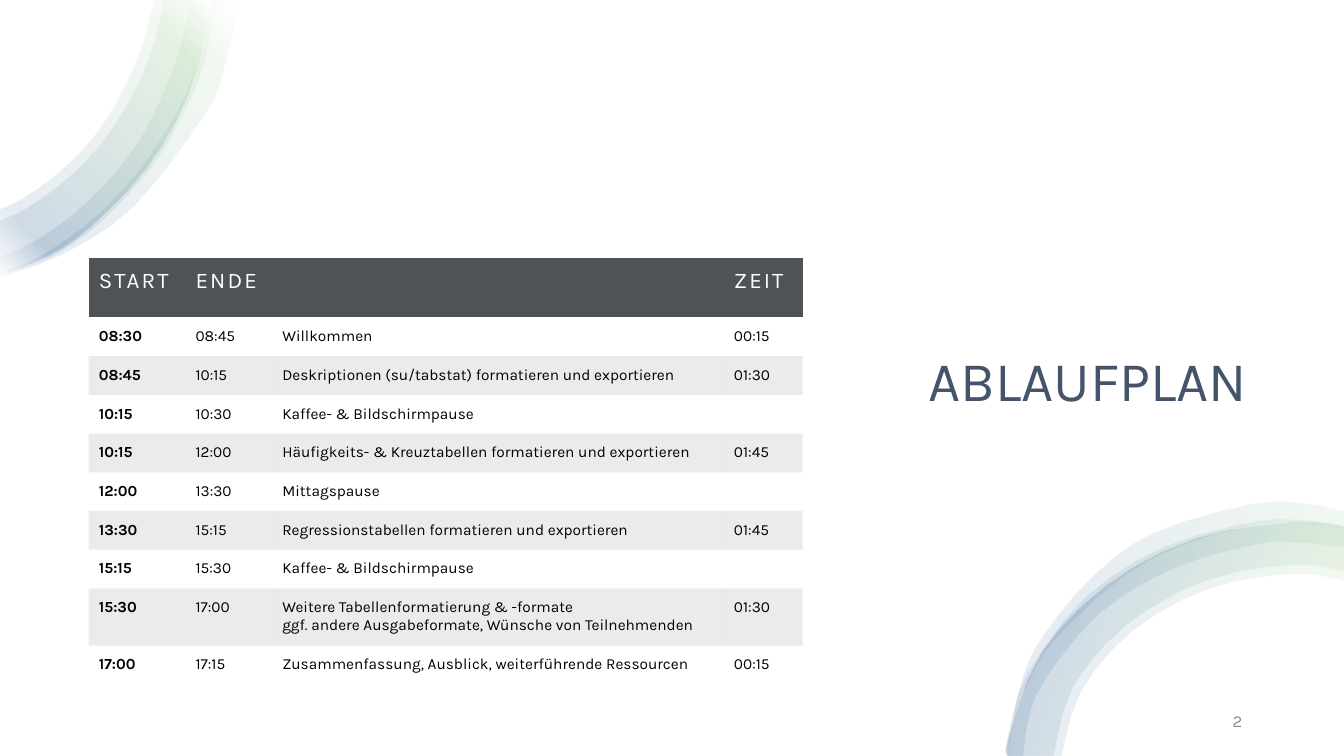
from dataclasses import dataclass

from pptx import Presentation
from pptx.dml.color import RGBColor
from pptx.enum.text import MSO_ANCHOR, PP_ALIGN
from pptx.oxml import parse_xml
from pptx.oxml.ns import nsdecls, qn
from pptx.util import Inches, Pt

LEFT, RIGHT, JUSTIFY = PP_ALIGN.LEFT, PP_ALIGN.RIGHT, PP_ALIGN.JUSTIFY
BOTTOM, MIDDLE = MSO_ANCHOR.BOTTOM, MSO_ANCHOR.MIDDLE
PLAIN_TABLE = "{2D5ABB26-0587-4C30-8999-92F81FD0307C}"


@dataclass(frozen=True)
class Theme:
    font: str = "Karla"
    title: str = "44546A"
    header: str = "505356"
    text: str = "000000"
    paper: str = "FFFFFF"
    number: str = "8C8C8C"
    band_alpha: int = 8
    arc_alpha: int = 10
    arc_stops: tuple = ((2, "FFFFFF"), (16, "82C074"), (85, "003F7D"), (100, "FFFFFF"))
    title_size: int = 40
    header_size: int = 16
    number_size: int = 12
    body_size: int = 11


def smooth(points, steps=3):
    """Points, in EMU, of a Catmull-Rom curve through points in inches."""
    ends = [points[0], *points, points[-1]]
    curve = [points[0]]
    for a, b, c, d in zip(ends, ends[1:], ends[2:], ends[3:]):
        for i in range(1, steps + 1):
            t = i / steps
            curve.append(tuple(
                (2 * q + (r - p) * t + (2 * p - 5 * q + 4 * r - s) * t ** 2
                 + (3 * q - p - 3 * r + s) * t ** 3) / 2
                for p, q, r, s in zip(a, b, c, d)))
    return [(Inches(x), Inches(y)) for x, y in curve]


class SlideBuilder:
    def __init__(self, prs, theme):
        self.theme = theme
        self.slide = prs.slides.add_slide(prs.slide_layouts[5])
        fill = self.slide.background.fill
        fill.solid()
        fill.fore_color.rgb = RGBColor.from_string(theme.paper)

    def style(self, p, size, color, align=LEFT, bold=False):
        p.alignment = align
        f = p.font
        f.name, f.size, f.bold = self.theme.font, Pt(size), bold
        f.color.rgb = RGBColor.from_string(color)

    def title(self, text, *box):
        sp = self.slide.shapes.title
        sp.left, sp.top, sp.width, sp.height = map(Inches, box)
        tf = sp.text_frame
        tf.text, tf.vertical_anchor = text, BOTTOM
        p = tf.paragraphs[0]
        p.line_spacing = 0.9
        self.style(p, self.theme.title_size, self.theme.title)

    def page_number(self, text, *box):
        tf = self.slide.shapes.add_textbox(*map(Inches, box)).text_frame
        tf.word_wrap, tf.vertical_anchor = True, MIDDLE
        p = tf.paragraphs[0]
        p.text, p.space_after = text, Pt(6)
        self.style(p, self.theme.number_size, self.theme.number, RIGHT)

    def arc(self, outer, inner, angle):
        start, *rest = smooth(outer) + smooth(inner)[::-1]
        fb = self.slide.shapes.build_freeform(*start)
        fb.add_line_segments(rest, close=True)
        sp = fb.convert_to_shape()
        sp.shadow.inherit = False
        sp.line.fill.background()
        sp.fill.gradient()
        # Translucent gradient with four stops
        stops = "".join(
            f'<a:gs pos="{pos * 1000}"><a:srgbClr val="{color}">'
            f'<a:alpha val="{self.theme.arc_alpha * 1000}"/></a:srgbClr></a:gs>'
            for pos, color in self.theme.arc_stops)
        spPr = sp._element.spPr
        spPr.replace(spPr.find(qn("a:gradFill")), parse_xml(
            f'<a:gradFill {nsdecls("a")}><a:gsLst>{stops}</a:gsLst>'
            f'<a:lin ang="{angle * 60000}" scaled="0"/></a:gradFill>'))

    def cell(self, cell, text, row, col):
        th = self.theme
        cell.margin_left = cell.margin_right = Inches(0.1)
        cell.margin_top = cell.margin_bottom = Inches(0.1)
        p = cell.text_frame.paragraphs[0]
        p.text = text
        if row == 0:
            self.style(p, th.header_size, th.paper, JUSTIFY)
            p._p.pPr.find(qn("a:defRPr")).set("spc", "150")
        else:
            self.style(p, th.body_size, th.text, bold=col == 0)
        if not text:
            p._p.append(parse_xml(
                f'<a:endParaRPr {nsdecls("a")} sz="{th.body_size * 100}"/>'))
        # Dark header, every second body row tinted
        if row % 2:
            cell.fill.background()
            return
        cell.fill.solid()
        cell.fill.fore_color.rgb = RGBColor.from_string(th.text if row else th.header)
        if row:
            color = cell._tc.tcPr.find(".//" + qn("a:srgbClr"))
            color.append(parse_xml(
                f'<a:alpha {nsdecls("a")} val="{th.band_alpha * 1000}"/>'))

    def table(self, rows, left, top, widths, heights):
        box = map(Inches, (left, top, sum(widths), sum(heights)))
        table = self.slide.shapes.add_table(len(rows), len(widths), *box).table
        table.first_row, table.horz_banding = True, False
        table._tbl.tblPr.find(qn("a:tableStyleId")).text = PLAIN_TABLE
        for column, width in zip(table.columns, widths):
            column.width = Inches(width)
        for r, (row, height) in enumerate(zip(rows, heights)):
            table.rows[r].height = Inches(height)
            for c, text in enumerate(row):
                self.cell(table.cell(r, c), text, r, c)


# Arc edges, in inches
TOP_WIDE = [(0, 2.73), (0.48, 2.53), (0.88, 2.26), (1.45, 1.67), (1.87, 0.93), (2.12, 0)]
TOP_ARCS = [
    ([(0, 2.75), (0.65, 2.5), (1.34, 2.03), (2.04, 1.11), (2.21, 0.7), (2.37, 0)],
     [(0, 2.7), (0.37, 2.55), (0.82, 2.25), (1.21, 1.88), (1.54, 1.46), (1.81, 0.99),
      (2.01, 0.48), (2.12, 0)]),
    (TOP_WIDE, [(0, 2.07), (0.2, 1.98), (0.57, 1.72), (0.91, 1.38), (1.18, 0.97),
                (1.39, 0.51), (1.53, 0)]),
    ([(0, 2.74), (0.43, 2.58), (0.88, 2.3), (1.27, 1.93), (1.61, 1.5), (1.87, 1.02),
      (2.02, 0.64), (2.16, 0)],
     [(0, 2.54), (0.34, 2.39), (0.74, 2.11), (1.1, 1.76), (1.4, 1.36), (1.63, 0.9),
      (1.8, 0.42), (1.89, 0)]),
    (TOP_WIDE, [(0, 2.18), (0.25, 2.07), (0.63, 1.8), (0.98, 1.45), (1.27, 1.02),
                (1.49, 0.54), (1.63, 0)]),
]
LOW_WIDE = [(10, 7.5), (10.01, 7.31), (10.33, 6.48), (10.98, 5.8), (11.85, 5.34),
            (12.82, 5.18), (13.33, 5.23)]
LOW_ARCS = [
    (LOW_WIDE, [(10.53, 7.5), (10.72, 6.86), (11.23, 6.26), (11.98, 5.84),
                (12.82, 5.69), (13.33, 5.76)]),
    (LOW_WIDE, [(10.45, 7.5), (10.64, 6.82), (11.17, 6.2), (11.95, 5.76),
                (12.82, 5.6), (13.33, 5.67)]),
    ([(10, 7.5), (10.05, 7.1), (10.2, 6.67), (10.75, 5.94), (11.54, 5.43),
      (12.45, 5.18), (12.93, 5.17), (13.33, 5.22)],
     [(10.15, 7.5), (10.2, 7.14), (10.36, 6.75), (10.9, 6.09), (11.64, 5.64),
      (12.48, 5.4), (12.92, 5.39), (13.33, 5.44)]),
    ([(9.99, 7.5), (9.99, 7.37), (10.16, 6.69), (10.38, 6.27), (10.85, 5.71),
      (11.46, 5.28), (12.43, 5), (12.94, 5), (13.33, 5.08)],
     [(10.01, 7.5), (10.06, 7.15), (10.23, 6.72), (10.48, 6.33), (11.16, 5.71),
      (11.78, 5.39), (12.46, 5.21), (12.92, 5.19), (13.33, 5.24)]),
]
AGENDA = [
    ("START", "ENDE", "", "ZEIT"),
    ("08:30", "08:45", "Willkommen", "00:15"),
    ("08:45", "10:15", "Deskriptionen (su/tabstat) formatieren und exportieren", "01:30"),
    ("10:15", "10:30", "Kaffee- & Bildschirmpause", ""),
    ("10:15", "12:00", "Häufigkeits- & Kreuztabellen formatieren und exportieren", "01:45"),
    ("12:00", "13:30", "Mittagspause", ""),
    ("13:30", "15:15", "Regressionstabellen formatieren und exportieren", "01:45"),
    ("15:15", "15:30", "Kaffee- & Bildschirmpause", ""),
    ("15:30", "17:00", "Weitere Tabellenformatierung & -formate\n"
     "ggf. andere Ausgabeformate, Wünsche von Teilnehmenden", "01:30"),
    ("17:00", "17:15", "Zusammenfassung, Ausblick, weiterführende Ressourcen", "00:15"),
]


def main():
    prs = Presentation()
    prs.slide_width, prs.slide_height = Inches(13.33), Inches(7.5)
    s = SlideBuilder(prs, Theme())
    s.title("ABLAUFPLAN", 9.11, 1.22, 3.72, 2.93)
    # Decorative arcs in two corners
    for arcs, angle in ((TOP_ARCS, 135), (LOW_ARCS, 200)):
        for outer, inner in arcs:
            s.arc(outer, inner, angle)
    s.page_number("2", 9.42, 6.95, 3, 0.4)
    # Agenda
    heights = [0.59] + [0.37] * 7 + [0.52, 0.37]
    s.table(AGENDA, 0.88, 2.56, (0.96, 0.86, 4.48, 0.78), heights)
    prs.save("out.pptx")


if __name__ == "__main__":
    main()
